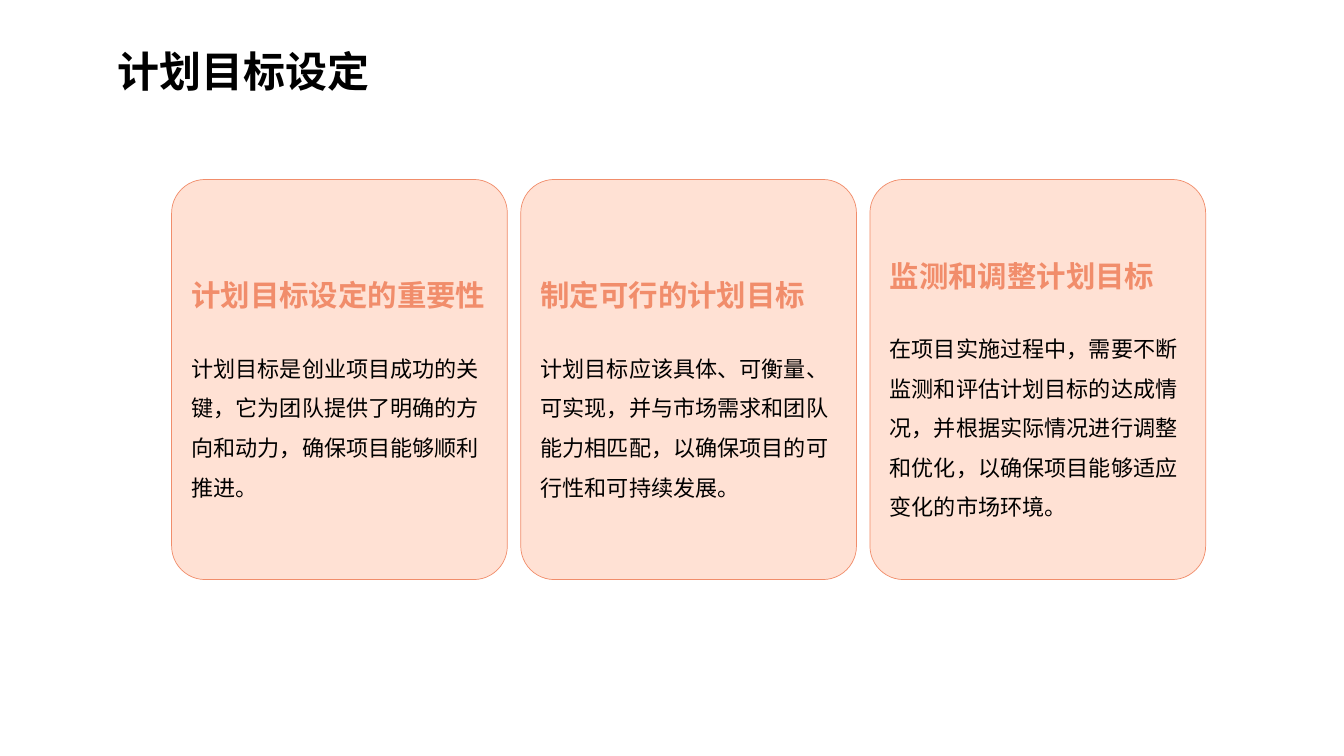
from pptx import Presentation
from pptx.dml.color import RGBColor
from pptx.enum.shapes import MSO_SHAPE
from pptx.enum.text import MSO_ANCHOR, MSO_AUTO_SIZE, PP_ALIGN
from pptx.oxml.ns import qn
from pptx.util import Pt
from lxml import etree

ROUNDED = MSO_SHAPE.ROUNDED_RECTANGLE
MIDDLE = MSO_ANCHOR.MIDDLE
NO_AUTOFIT = MSO_AUTO_SIZE.NONE
LEFT = PP_ALIGN.LEFT

# Content
TITLE = "计划目标设定"
GOALS = [
    ("计划目标设定的重要性",
     "计划目标是创业项目成功的关键，它为团队提供了明确的方向和动力，确保项目能够顺利推进。"),
    ("制定可行的计划目标",
     "计划目标应该具体、可衡量、可实现，并与市场需求和团队能力相匹配，以确保项目的可行性和可持续发展。"),
    ("监测和调整计划目标",
     "在项目实施过程中，需要不断监测和评估计划目标的达成情况，并根据实际情况进行调整和优化，以确保项目能够适应变化的市场环境。"),
]

# Theme: each text style is size, line height, colour, bold
THEME = {
    "font": "Noto Sans CJK SC",
    "card": RGBColor(0xFF, 0xE1, 0xD4),
    "accent": RGBColor(0xF1, 0x8D, 0x6B),
    "title": (30, 58.8, RGBColor(0, 0, 0), True),
    "heading": (21, 30, RGBColor(0xF1, 0x8D, 0x6B), True),
    "body": (15.8, 28.3, RGBColor(0, 0, 0), False),
}

# Layout, in points
CARD_LEFT, CARD_TOP, CARD_WIDTH, CARD_HEIGHT = 122.6, 128.2, 239.8, 285.8
CARD_GAP = 9.6
HEADING_GAP = 21


def write(paragraph, text, style):
    size, line_height, color, bold = THEME[style]
    paragraph.alignment = LEFT
    paragraph.line_spacing = Pt(line_height)
    run = paragraph.add_run()
    run.text = text
    run.font.size = Pt(size)
    run.font.bold = bold
    run.font.color.rgb = color
    run.font.name = THEME["font"]
    east_asian = etree.SubElement(run.font._element, qn("a:ea"))
    east_asian.set("typeface", THEME["font"])


def add_card(slide, left, heading, body):
    card = slide.shapes.add_shape(
        ROUNDED, Pt(left), Pt(CARD_TOP), Pt(CARD_WIDTH), Pt(CARD_HEIGHT))
    card.adjustments[0] = 0.1
    card.shadow.inherit = False
    card.fill.solid()
    card.fill.fore_color.rgb = THEME["card"]
    card.line.color.rgb = THEME["accent"]
    card.line.width = Pt(0.5)
    frame = card.text_frame
    frame.word_wrap = True
    frame.vertical_anchor = MIDDLE
    frame.margin_top, frame.margin_bottom = Pt(12.4), Pt(3.6)
    write(frame.paragraphs[0], heading, "heading")
    body_paragraph = frame.add_paragraph()
    body_paragraph.space_before = Pt(HEADING_GAP)
    write(body_paragraph, body, "body")


def main():
    deck = Presentation()
    deck.slide_width, deck.slide_height = Pt(960), Pt(540)
    slide = deck.slides.add_slide(deck.slide_layouts[5])

    # Title
    title = slide.shapes.title
    title.left, title.top, title.width, title.height = Pt(77), Pt(8.6), Pt(738), Pt(61.2)
    frame = title.text_frame
    frame.auto_size = NO_AUTOFIT
    frame.word_wrap = True
    frame.vertical_anchor = MIDDLE
    frame.margin_top = frame.margin_bottom = 0
    write(frame.paragraphs[0], TITLE, "title")

    # Goal cards
    for index, (heading, body) in enumerate(GOALS):
        add_card(slide, CARD_LEFT + index * (CARD_WIDTH + CARD_GAP), heading, body)

    deck.save("out.pptx")


if __name__ == "__main__":
    main()
